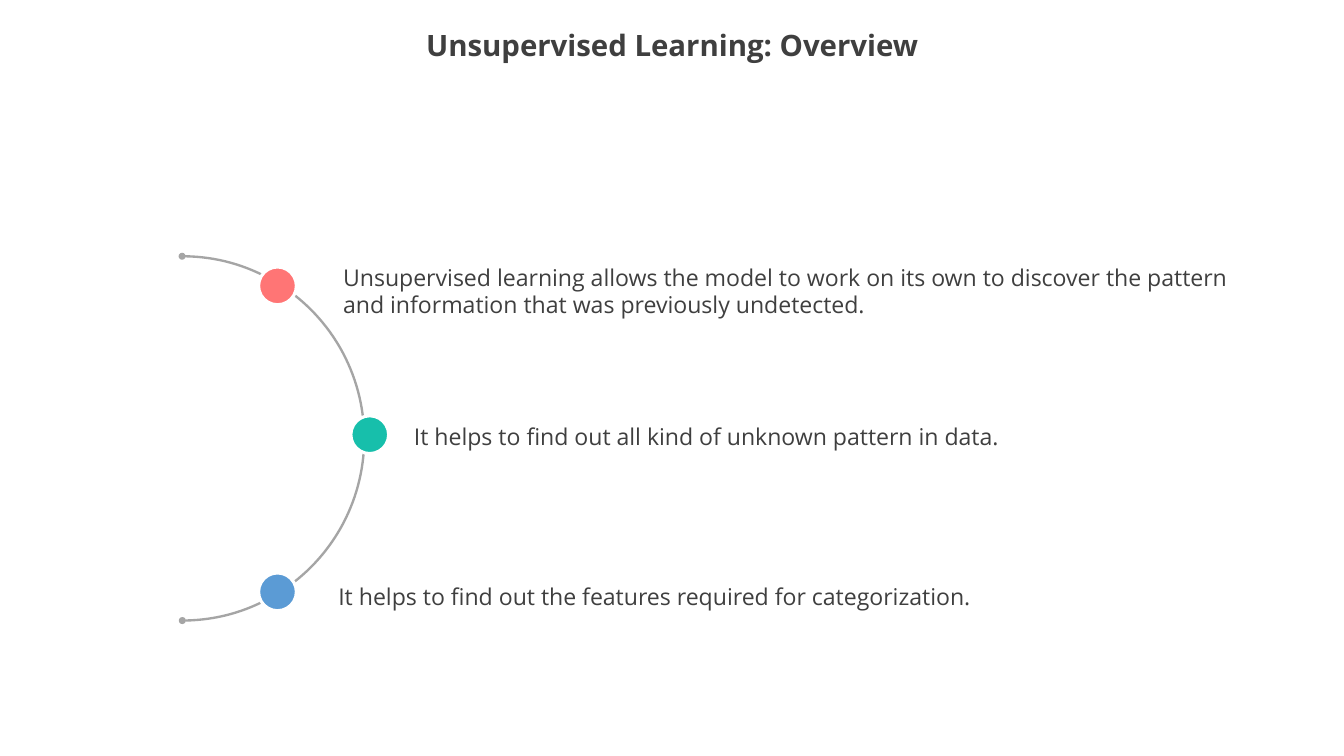
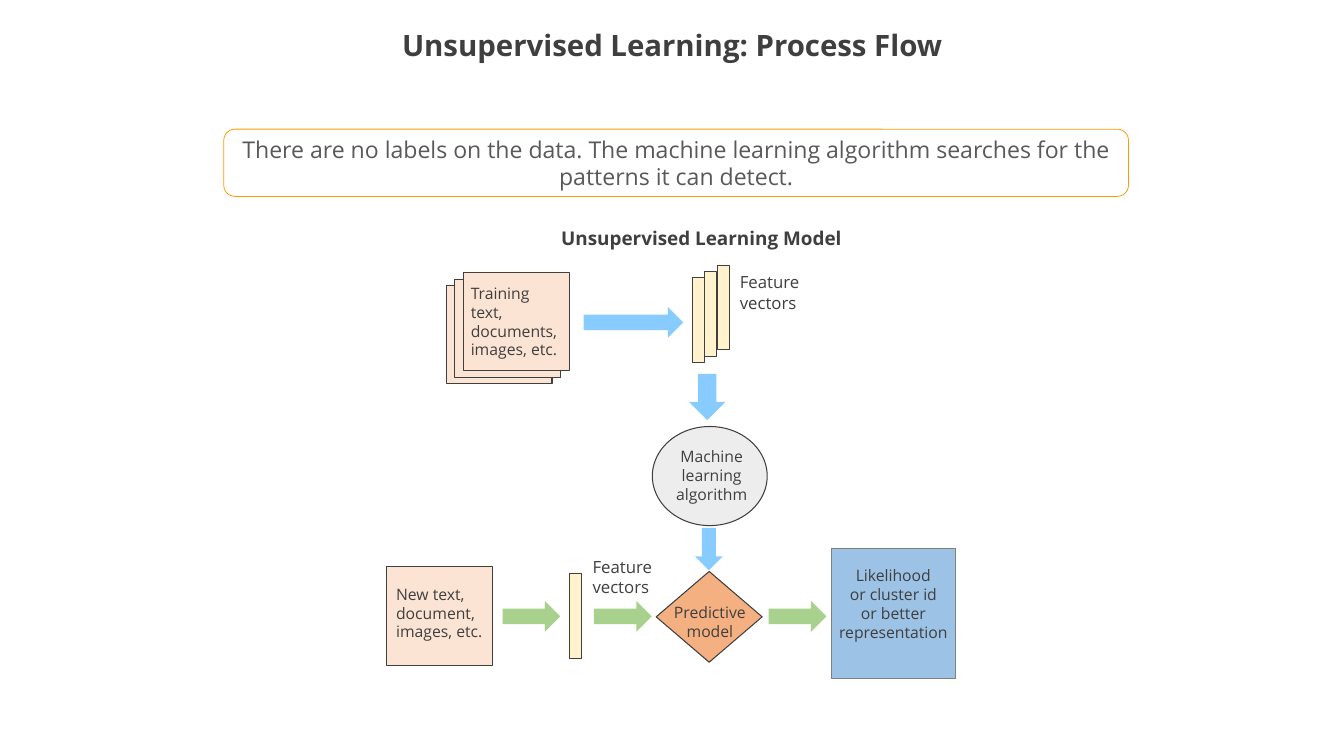
from dataclasses import dataclass

from lxml import etree
from pptx import Presentation
from pptx.dml.color import RGBColor
from pptx.enum.shapes import MSO_SHAPE
from pptx.enum.text import MSO_ANCHOR, PP_ALIGN
from pptx.oxml.ns import qn
from pptx.util import Cm, Pt

ARC, OVAL, RECTANGLE = MSO_SHAPE.ARC, MSO_SHAPE.OVAL, MSO_SHAPE.RECTANGLE
ROUNDED, DIAMOND, ARROW = MSO_SHAPE.ROUNDED_RECTANGLE, MSO_SHAPE.DIAMOND, MSO_SHAPE.RIGHT_ARROW
LEFT, CENTER = PP_ALIGN.LEFT, PP_ALIGN.CENTER
TOP, MIDDLE = MSO_ANCHOR.TOP, MSO_ANCHOR.MIDDLE


@dataclass(frozen=True)
class Theme:
    font: str = "Open Sans"
    ink: str = "3F3F3F"
    callout_ink: str = "595959"
    white: str = "FFFFFF"
    arc: str = "A5A5A5"
    coral: str = "FF7575"
    teal: str = "17BFAB"
    blue: str = "5B9BD5"
    callout_line: str = "FF9900"
    document: str = "FBE4D4"
    vector: str = "FFF2CC"
    algorithm: str = "EDEDED"
    model: str = "F4B081"
    result: str = "9CC2E5"
    result_line: str = "7F7F7F"
    training_arrow: str = "88CCFF"
    prediction_arrow: str = "A9D18E"
    title_size: int = 28
    body_size: int = 22
    heading_size: int = 18
    vector_size: int = 16
    label_size: int = 15


THEME = Theme()
PAGE_WIDTH, PAGE_HEIGHT = 45.16, 25.4
DOCUMENT_SIZE = (3.56, 3.3)
VECTOR_SIZE = (0.41, 2.84)


# Elements
def write(frame, text, size, color=THEME.ink, bold=False, align=LEFT, anchor=TOP):
    frame.word_wrap = True
    frame.vertical_anchor = anchor
    frame.text = text
    for para in frame.paragraphs:
        para.alignment = align
        for span in para.runs:
            span.font.name = THEME.font
            span.font.size = Pt(size)
            span.font.bold = bold
            span.font.color.rgb = RGBColor.from_string(color)


def add_text(page, left, top, width, height, text, size=THEME.label_size, **style):
    box = page.shapes.add_textbox(Cm(left), Cm(top), Cm(width), Cm(height))
    write(box.text_frame, text, size, **style)
    return box


def add_figure(page, kind, left, top, width, height, fill=None, line=None, line_width=1):
    figure = page.shapes.add_shape(kind, Cm(left), Cm(top), Cm(width), Cm(height))
    figure.shadow.inherit = False
    if fill:
        figure.fill.solid()
        figure.fill.fore_color.rgb = RGBColor.from_string(fill)
    else:
        figure.fill.background()
    if line:
        figure.line.color.rgb = RGBColor.from_string(line)
        figure.line.width = Pt(line_width)
    else:
        figure.line.fill.background()
    return figure


def add_arrow(page, left, top, width, height, color, rotation=0):
    add_figure(page, ARROW, left, top, width, height, color).rotation = rotation


def add_stack(page, count, left, top, step_x, step_y, size, fill):
    for i in range(count):
        add_figure(page, RECTANGLE, left + i * step_x, top + i * step_y, *size, fill, THEME.ink)


def add_arc(page, left, top, diameter):
    arc = add_figure(page, ARC, left, top, diameter, diameter, line=THEME.arc, line_width=2.25)
    arc.adjustments[0] = 162
    arc.adjustments[1] = 53.96
    outline = arc.line._get_or_add_ln()
    for end in ("a:headEnd", "a:tailEnd"):
        etree.SubElement(outline, qn(end)).set("type", "oval")


def hang(para, margin, indent):
    properties = para._p.get_or_add_pPr()
    properties.set("marL", str(Cm(margin)))
    properties.set("indent", str(Cm(indent)))


def add_page(deck, title):
    page = deck.slides.add_slide(deck.slide_layouts[6])
    box = add_text(page, 0, 0.64, PAGE_WIDTH, 1.9, title, THEME.title_size,
                   bold=True, align=CENTER, anchor=MIDDLE)
    box.text_frame.paragraphs[0].line_spacing = 0.9
    return page


# Slides
def build_overview(deck):
    page = add_page(deck, "Unsupervised Learning: Overview")
    add_text(page, 11.28, 8.71, 30.81, 3.07,
             "Unsupervised learning allows the model to work on its own to discover "
             "the pattern and information that was previously undetected.", THEME.body_size)
    for left, top, text in (
        (13.06, 14.07, "It helps to find out all kind of unknown pattern in data."),
        (10.52, 19.46, "It helps to find out the features required for categorization."),
    ):
        point = add_text(page, left, top, 28.4, 2.13, text, THEME.body_size)
        hang(point.text_frame.paragraphs[0], 1.57, -0.97)

    add_arc(page, 0, 8.61, 12.24)
    for left, top, color in ((8.69, 8.97, THEME.coral), (8.69, 19.25, THEME.blue),
                             (11.79, 13.97, THEME.teal)):
        add_figure(page, OVAL, left, top, 1.27, 1.27, color, THEME.white, 3)


def add_training_flow(page):
    add_stack(page, 3, 14.99, 9.6, 0.29, -0.22, DOCUMENT_SIZE, THEME.document)
    add_text(page, 15.57, 9.4, 3.53, 2.82, "Training text,\ndocuments,\nimages, etc.")
    add_arrow(page, 19.61, 10.31, 3.35, 1.04, THEME.training_arrow)
    add_stack(page, 3, 24.1, 8.92, -0.42, 0.21, VECTOR_SIZE, THEME.vector)
    add_text(page, 24.61, 9.02, 4.17, 1.27, "Feature\nvectors", THEME.vector_size)
    add_arrow(page, 22.99, 12.73, 1.55, 1.22, THEME.training_arrow, 90)
    add_figure(page, OVAL, 21.92, 14.33, 3.86, 3.33, THEME.algorithm, THEME.ink)
    add_text(page, 22.43, 14.88, 2.97, 2.18, "Machine\nlearning\nalgorithm", align=CENTER)
    add_arrow(page, 23.11, 17.98, 1.42, 0.94, THEME.training_arrow, 90)


def add_prediction_flow(page):
    add_figure(page, RECTANGLE, 12.98, 19.05, *DOCUMENT_SIZE, THEME.document, THEME.ink)
    add_text(page, 13.06, 19.51, 3.45, 2.18, "New text,\ndocument,\nimages, etc.")
    add_figure(page, RECTANGLE, 19.13, 19.28, *VECTOR_SIZE, THEME.vector, THEME.ink)
    add_text(page, 19.66, 18.57, 3.56, 1.27, "Feature\nvectors", THEME.vector_size)
    for left in (16.89, 19.96, 25.83):
        add_arrow(page, left, 20.19, 1.94, 1.04, THEME.prediction_arrow)
    add_figure(page, DIAMOND, 22.05, 19.2, 3.56, 3.05, THEME.model, THEME.ink)
    add_text(page, 22.38, 20.14, 2.95, 1.55, "Predictive\nmodel", align=CENTER)
    add_figure(page, RECTANGLE, 27.94, 18.44, 4.17, 4.37, THEME.result, THEME.result_line)
    add_text(page, 27.86, 18.9, 4.32, 2.82,
             "Likelihood\nor cluster id\nor better\nrepresentation", align=CENTER)


def build_process_flow(deck):
    page = add_page(deck, "Unsupervised Learning: Process Flow")
    callout = add_figure(page, ROUNDED, 7.52, 4.34, 30.4, 2.26,
                         line=THEME.callout_line, line_width=0.75)
    write(callout.text_frame,
          "There are no labels on the data. The machine learning algorithm searches "
          "for the patterns it can detect.",
          THEME.body_size, color=THEME.callout_ink, align=CENTER, anchor=MIDDLE)
    add_text(page, 18.49, 7.49, 10.16, 0.89, "Unsupervised Learning Model",
             THEME.heading_size, bold=True, align=CENTER)
    add_training_flow(page)
    add_prediction_flow(page)


def main():
    deck = Presentation()
    deck.slide_width, deck.slide_height = Cm(PAGE_WIDTH), Cm(PAGE_HEIGHT)
    build_overview(deck)
    build_process_flow(deck)
    deck.save("out.pptx")


if __name__ == "__main__":
    main()
